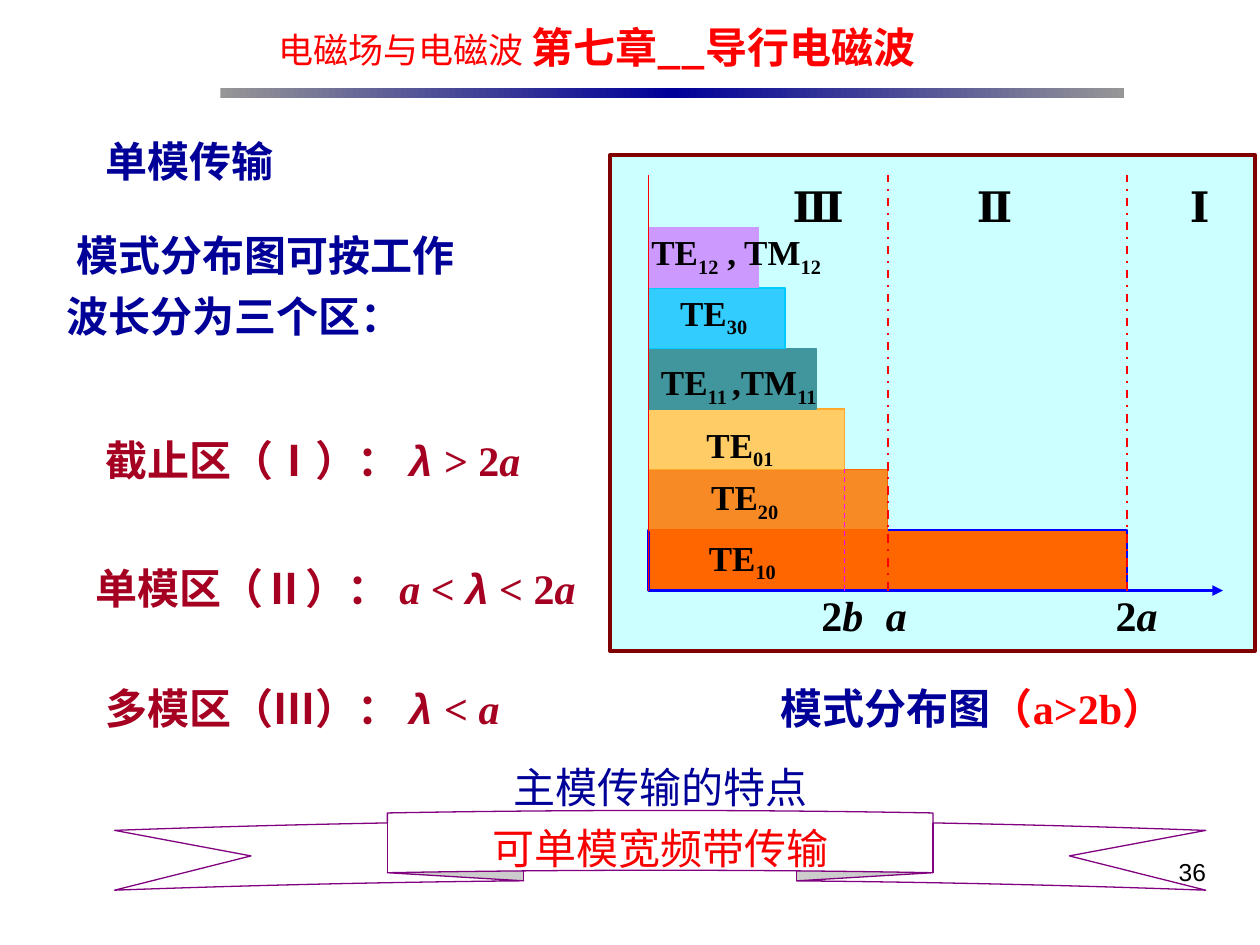
from collections import namedtuple
from copy import deepcopy

from pptx import Presentation
from pptx.dml.color import RGBColor
from pptx.enum.dml import MSO_LINE
from pptx.enum.shapes import MSO_CONNECTOR, MSO_SHAPE
from pptx.enum.text import MSO_ANCHOR, PP_ALIGN
from pptx.oxml.ns import qn
from pptx.util import Inches, Pt

Box = namedtuple("Box", "x y w h")
SLIDE = Box(0, 0, 10, 7.5)
SERIF, SANS, CJK = "Times New Roman", "Arial", "Noto Sans CJK SC"
RED, NAVY, CRIMSON, BLACK = "FF0000", "000099", "A50021", "000000"
ITALIC = {"italic": True}
LAMBDA = {"italic": True, "font": SANS}
SUB = {"sub": True}


def share(box, x, y, w, h):
    """Part of a box, given as shares of its width and height."""
    return Box(box.x + x * box.w, box.y + y * box.h, w * box.w, h * box.h)


def rgb(value):
    return RGBColor.from_string(value)


def add_text(s, box, *paragraphs, size=24, font=SERIF, color=BLACK, bold=True,
             align=PP_ALIGN.LEFT, anchor=MSO_ANCHOR.TOP, spacing=None, wrap=True):
    """Each paragraph is a list of runs: plain strings or (string, format)."""
    tf = s.shapes.add_textbox(*map(Inches, box)).text_frame
    tf.word_wrap, tf.vertical_anchor = wrap, anchor
    for i, runs in enumerate(paragraphs):
        p = tf.paragraphs[0] if i == 0 else tf.add_paragraph()
        p.alignment, p.line_spacing = align, spacing
        if i:
            p.space_before = Pt(6)
        for run in runs:
            text, fmt = (run, {}) if isinstance(run, str) else run
            r = p.add_run()
            r.text = text
            r.font.size = Pt(fmt.get("size", size))
            r.font.bold = fmt.get("bold", bold)
            r.font.italic = fmt.get("italic", False)
            r.font.name = fmt.get("font", font)
            r.font.color.rgb = rgb(fmt.get("color", color))
            if fmt.get("sub"):
                r.font._element.set("baseline", "-25000")


def add_block(s, box, fill, line=None, width=0.75, kind=MSO_SHAPE.RECTANGLE):
    sp = s.shapes.add_shape(kind, *map(Inches, box))
    sp.shadow.inherit = False
    sp.fill.solid()
    sp.fill.fore_color.rgb = rgb(fill)
    if line:
        sp.line.color.rgb = rgb(line)
        sp.line.width = Pt(width)
    else:
        sp.line.fill.background()
    return sp


def add_line(s, x1, y1, x2, y2, color, width=0.75, dash=None, arrow=False):
    c = s.shapes.add_connector(MSO_CONNECTOR.STRAIGHT, *map(Inches, (x1, y1, x2, y2)))
    c.line.color.rgb = rgb(color)
    c.line.width = Pt(width)
    if dash:
        c.line.dash_style = dash
    if arrow:
        ln = c.line._get_or_add_ln()
        ln.append(ln.makeelement(qn("a:tailEnd"), {"type": "triangle"}))
    spPr = c._element.spPr
    spPr.append(spPr.makeelement(qn("a:effectLst"), {}))


def header(s, box):
    add_text(s, share(box, 0.05, 0, 0.95, 0.96),
             [("电磁场与电磁波 ", {"size": 20, "bold": False}), "第七章__导行电磁波"],
             font=CJK, color=RED, anchor=MSO_ANCHOR.MIDDLE)
    fill = add_block(s, share(box, 0, 0.9, 1, 0.1), NAVY).fill
    fill.gradient()
    fill.gradient_angle = 0
    stops = fill._xPr.find(qn("a:gradFill")).find(qn("a:gsLst"))
    stops.append(deepcopy(stops[-1]))
    for i, (stop, color) in enumerate(zip(fill.gradient_stops, ("969696", NAVY, "969696"))):
        stop.position = i / 2
        stop.color.rgb = rgb(color)


def mode_chart(s, box):
    """Bars run to each mode's cutoff wavelength, measured in units of a."""
    add_block(s, box, "CCFFFF", "800000", 2)
    left, base = box.x + 0.06 * box.w, box.y + 0.878 * box.h
    unit, row = 0.371 * box.w, 0.122 * box.h
    top = box.y + 0.04 * box.h
    bars = [  # cutoff, fill, line, line width, label start, label lift, label
        (2, "FF6600", "0000FF", 1.5, 0.2, 0, ["TE", ("10", SUB)]),
        (1, "F88A26", "FF6600", 0.75, 0.21, 0, ["TE", ("20", SUB)]),
        (0.82, "FFCC66", "FFA829", 0.75, 0.19, -0.13, ["TE", ("01", SUB)]),
        (0.7, "41969D", "41969D", 0.75, 0, -0.1, ["TE", ("11 ", SUB), ",TM", ("11", SUB)]),
        (0.57, "33CCFF", "00CCFF", 0.75, 0.08, 0.05, ["TE", ("30", SUB)]),
        (0.46, "CC99FF", "CC99FF", 0.75, -0.04, 0.05, ["TE", ("12", SUB), " , TM", ("12", SUB)]),
    ]
    for i, (cutoff, fill, line, width, *_) in enumerate(bars, 1):
        add_block(s, Box(left, base - i * row, cutoff * unit, row), fill, line, width)
    for i, (*_, start, lift, label) in enumerate(bars, 1):
        add_text(s, Box(left + start * unit, base - (i + lift) * row, 1.1 * unit, row),
                 label, size=20, wrap=False)

    add_line(s, left + 2 * unit, base, left + 2.4 * unit, base, "0000FF", 2, arrow=True)
    add_line(s, left + 0.82 * unit, base, left + 0.82 * unit, base - 2 * row,
             "FF00FF", dash=MSO_LINE.DASH)
    add_line(s, left, base, left, top, RED)
    for cutoff in (1, 2):
        x = left + cutoff * unit
        add_line(s, x, base, x, top, RED, 1.25, MSO_LINE.DASH_DOT)

    ticks = [(0.67, ["2", ("b", ITALIC)]), (0.94, [("a", ITALIC)]), (1.9, ["2", ("a", ITALIC)])]
    for start, label in ticks:
        add_text(s, Box(left + start * unit, base - 0.12 * row, 0.3 * unit, row),
                 label, wrap=False)
    for start, zone in ((0.55, "Ⅲ"), (1.32, "Ⅱ"), (2.21, "Ⅰ")):
        add_text(s, Box(left + start * unit, top, 0.3 * unit, row), [zone], wrap=False)


def zone_list(s, box):
    add_text(s, share(box, 0.09, 0, 0.8, 0.125), ["单模传输"], color=NAVY, spacing=1.3)
    add_text(s, share(box, 0.03, 0.175, 0.7, 0.2),
             [" 模式分布图可按工作"], ["波长分为三个区："], color=NAVY)
    zones = [
        (0.09, 0.478, ["截止区（Ⅰ）： ", ("λ ", LAMBDA), "> 2", ("a", ITALIC)]),
        (0.075, 0.683, ["单模区（Ⅱ）： ", ("a ", ITALIC), "< ", ("λ", LAMBDA), " < 2", ("a", ITALIC)]),
        (0.09, 0.875, ["多模区（Ⅲ）： ", ("λ ", LAMBDA), "< ", ("a", ITALIC)]),
    ]
    for x, y, runs in zones:
        add_text(s, share(box, x, y, 0.9, 0.125), runs, color=CRIMSON, spacing=1.3)


def banner(s, box):
    add_block(s, share(box, 0, 0.41, 1, 0.59), "FFFFFF", "800080",
              kind=MSO_SHAPE.CURVED_UP_RIBBON)
    add_text(s, share(box, 0.25, 0, 0.5, 0.92), ["主模传输的特点"],
             [("可单模宽频带传输", {"color": "F80000"})],
             color=NAVY, bold=False, align=PP_ALIGN.CENTER)


def main():
    prs = Presentation()
    prs.slide_width, prs.slide_height = Inches(SLIDE.w), Inches(SLIDE.h)
    s = prs.slides.add_slide(prs.slide_layouts[6])
    header(s, share(SLIDE, 0.175, 0, 0.717, 0.104))
    add_text(s, share(SLIDE, 0.717, 0.9, 0.25, 0.07), ["36"], size=14, font=SANS,
             bold=False, align=PP_ALIGN.RIGHT)
    mode_chart(s, share(SLIDE, 0.484, 0.164, 0.512, 0.525))
    zone_list(s, share(SLIDE, 0.028, 0.121, 0.51, 0.661))
    add_text(s, share(SLIDE, 0.61, 0.7, 0.37, 0.083),
             ["模式分布图", ("（a>2b）", {"color": RED})], color=NAVY, spacing=1.3)
    banner(s, share(SLIDE, 0.091, 0.799, 0.866, 0.143))
    prs.save("out.pptx")


if __name__ == "__main__":
    main()
